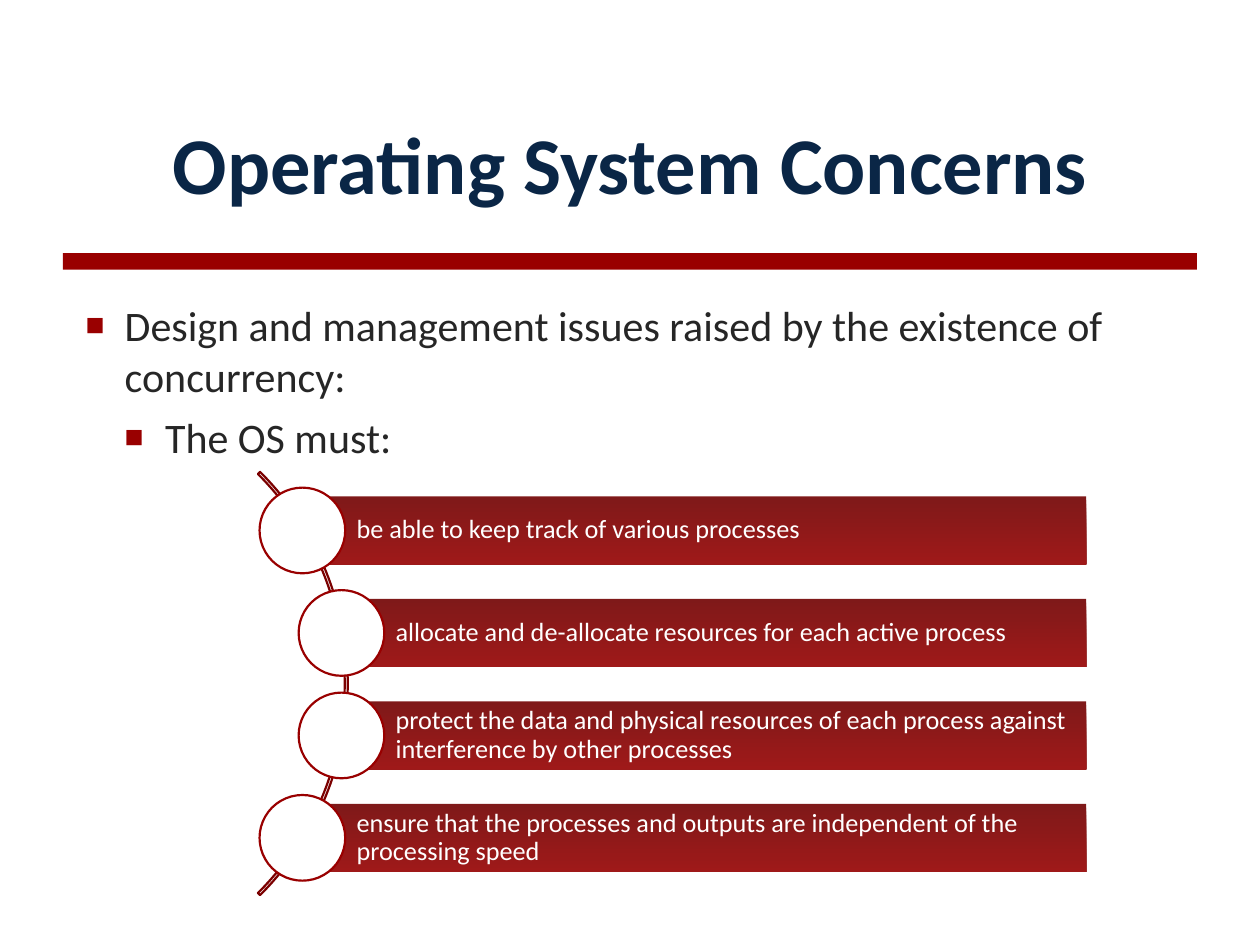
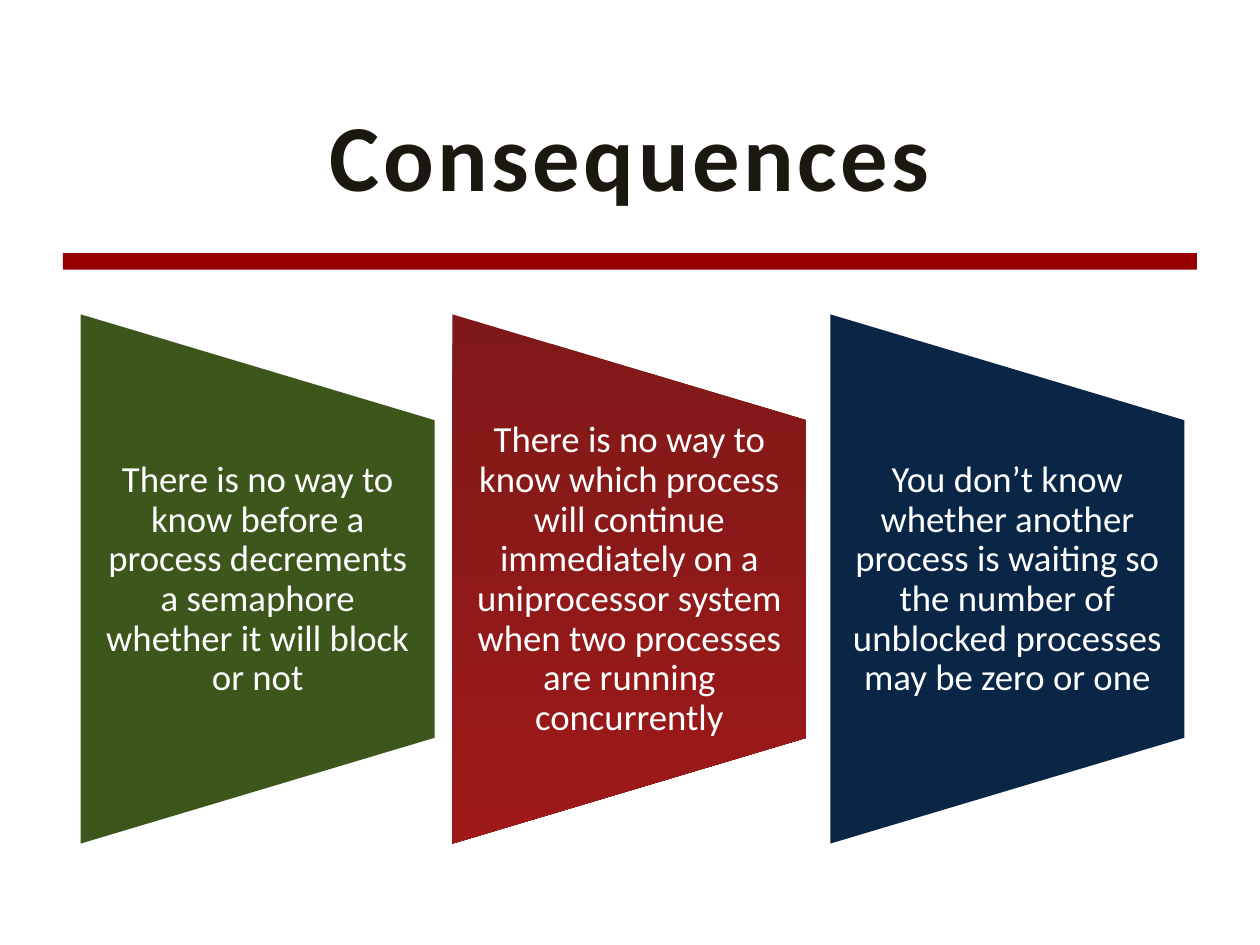
"""Build two slides on concurrency: system concerns and consequences."""
import pptx
import pptx.dml.color
import pptx.enum.shapes
import pptx.enum.text
import pptx.oxml
import pptx.oxml.ns
import pptx.util
from pptx.util import Inches

RGBColor = pptx.dml.color.RGBColor
SHAPE = pptx.enum.shapes.MSO_SHAPE
ALIGN = pptx.enum.text.PP_ALIGN
ANCHOR = pptx.enum.text.MSO_ANCHOR
qn = pptx.oxml.ns.qn

RED = RGBColor(0x99, 0x00, 0x00)
MAROON = RGBColor(0x7B, 0x00, 0x00)
SHADE = (RGBColor(0x72, 0x00, 0x00), RGBColor(0x95, 0x00, 0x00))
NAVY = RGBColor(0x0A, 0x26, 0x46)
GREEN = RGBColor(0x3C, 0x56, 0x1B)
BLACK = RGBColor(0x1B, 0x18, 0x0F)
GRAY = RGBColor(0x26, 0x26, 0x26)
WHITE = RGBColor(0xFF, 0xFF, 0xFF)
FONT = "Calibri"

DUTIES = [
    (2.4, "be able to keep track of various processes"),
    (2.71, "allocate and de-allocate resources for each active process"),
    (2.71, "protect the data and physical resources of each process "
           "against interference by other processes"),
    (2.4, "ensure that the processes and outputs are independent of the "
          "processing speed"),
]
EFFECTS = [
    (0.64, GREEN, "There is no way to know before a process decrements a "
                  "semaphore whether it will block or not"),
    (3.59, SHADE, "There is no way to know which process will continue "
                  "immediately on a uniprocessor system when two processes "
                  "are running concurrently"),
    (6.59, NAVY, "You don’t know whether another process is waiting so the "
                 "number of unblocked processes may be zero or one"),
]


def write(para, text, size=15, color=WHITE, bold=False, align=ALIGN.LEFT,
          lines=None, before=0, gap=None):
    """Put formatted text in a paragraph."""
    run = para.add_run()
    run.text = text
    para.alignment = align
    para.space_before = pptx.util.Pt(before)
    para.line_spacing = lines
    font = run.font
    font.name, font.size, font.bold = FONT, pptx.util.Pt(size), bold
    font.color.rgb = color
    if gap:
        run._r.get_or_add_rPr().set("spc", str(gap * 100))


def frame(shape, anchor, sides):
    """Set up wrapping, anchor and margins; return the first paragraph."""
    box = shape.text_frame
    box.word_wrap = True
    box.auto_size = pptx.enum.text.MSO_AUTO_SIZE.NONE
    box.vertical_anchor = anchor
    (box.margin_left, box.margin_top,
     box.margin_right, box.margin_bottom) = map(Inches, sides)
    return box.paragraphs[0]


def place(shape, left, top, width, height):
    """Move and size a shape."""
    shape.left, shape.top = Inches(left), Inches(top)
    shape.width, shape.height = Inches(width), Inches(height)


def blend(shape):
    """Fill a shape with the sheer upright red gradient."""
    shape.fill.gradient()
    shape.fill.gradient_angle = 270
    for stop, color in zip(shape.fill.gradient_stops, SHADE):
        stop.color.rgb = color
    grad = shape.element.spPr.find(qn("a:gradFill"))
    grad.set("rotWithShape", "0")
    for tint in grad.iter(qn("a:srgbClr")):
        tint.append(pptx.oxml.parse_xml(
            f'<a:alpha {pptx.oxml.ns.nsdecls("a")} val="90000"/>'))


def draw(slide, kind, area, fill=None, line=None):
    """Add a preset shape with a plain, blended or empty fill."""
    shape = slide.shapes.add_shape(kind, *map(Inches, area))
    shape.shadow.inherit = False
    if fill is SHADE:
        blend(shape)
    elif fill is None:
        shape.fill.background()
    else:
        shape.fill.solid()
        shape.fill.fore_color.rgb = fill
    if line is None:
        shape.line.fill.background()
    else:
        shape.line.color.rgb = line
        shape.line.width = pptx.util.Pt(1.25)
    return shape


def rule(deck, slide):
    """Move a red rule to the master so that all slides share it."""
    bar = draw(slide, SHAPE.RECTANGLE, (0.5, 2.01, 9, 0.13), RED)
    deck.slide_master.shapes.element.insert(2, bar.element)


def head(slide, text, **style):
    """Fill in the title."""
    title = slide.shapes.title
    place(title, 0.72, 0.5, 8.56, 1.17)
    para = frame(title, ANCHOR.BOTTOM, (0.1, 0, 0.1, 0))
    write(para, text, bold=True, align=ALIGN.CENTER,
          lines=pptx.util.Pt(54), **style)


def bullet(para, left, hang):
    """Give a paragraph a red square bullet with a hanging indent."""
    props = para._p.get_or_add_pPr()
    props.set("marL", str(Inches(left)))
    props.set("indent", str(-Inches(hang)))
    space = pptx.oxml.ns.nsdecls("a")
    for mark in (f'<a:buClr {space}><a:srgbClr val="{RED}"/></a:buClr>',
                 f'<a:buSzPct {space} val="75000"/>',
                 f'<a:buChar {space} char="■"/>'):
        props.append(pptx.oxml.parse_xml(mark))


def points(slide):
    """Fill in the body list."""
    body = slide.placeholders[1]
    place(body, 0.58, 2.33, 8.67, 4.75)
    first = frame(body, ANCHOR.TOP, (0.1, 0.05, 0.1, 0.05))
    bullet(first, 0.31, 0.31)
    write(first, "Design and management issues raised by the existence of "
                 "concurrency:", size=24, color=GRAY)
    last = body.text_frame.add_paragraph()
    last.level = 1
    bullet(last, 0.63, 0.32)
    write(last, "The OS must:", size=24, color=GRAY, before=6)


def duty(slide, left, top, text):
    """Draw a bar of text with a circle at its left end."""
    bar = draw(slide, SHAPE.RECTANGLE, (left, top, 8.62 - left, 0.54), SHADE)
    para = frame(bar, ANCHOR.MIDDLE, (0.43, 0.04, 0.04, 0.04))
    write(para, text, lines=0.9)
    draw(slide, SHAPE.OVAL, (left - 0.34, top - 0.07, 0.68, 0.68), WHITE, RED)


def effect(slide, left, fill, text):
    """Draw a sideways trapezoid with upright text over it."""
    wide, tall = 2.81, 4.2
    shape = draw(slide, SHAPE.FLOWCHART_MANUAL_OPERATION,
                 (left + (wide - tall) / 2, 3.19, tall, wide), fill)
    shape.rotation = 270
    label = slide.shapes.add_textbox(
        *map(Inches, (left, 3.34, wide, 2.52)))
    para = frame(label, ANCHOR.MIDDLE, (0.15, 0, 0.15, 0))
    write(para, text, size=21, align=ALIGN.CENTER, lines=0.9)


def main():
    """Build and save the deck."""
    deck = pptx.Presentation()
    deck.slide_width, deck.slide_height = Inches(10), Inches(7.5)

    slide = deck.slides.add_slide(deck.slide_layouts[1])
    rule(deck, slide)
    head(slide, "Operating System Concerns", size=46, color=NAVY)
    points(slide)
    arc = draw(slide, SHAPE.BLOCK_ARC, (-1.99, 3.05, 4.75, 4.75), line=MAROON)
    for spot, value in enumerate((189, 27, 0.005)):
        arc.adjustments[spot] = value
    for row, (left, text) in enumerate(DUTIES):
        duty(slide, left, 3.94 + row * 2.44 / 3, text)

    slide = deck.slides.add_slide(deck.slide_layouts[5])
    head(slide, "Consequences", size=54, color=BLACK, gap=2)
    for left, fill, text in EFFECTS:
        effect(slide, left, fill, text)

    deck.save("out.pptx")


if __name__ == "__main__":
    main()
